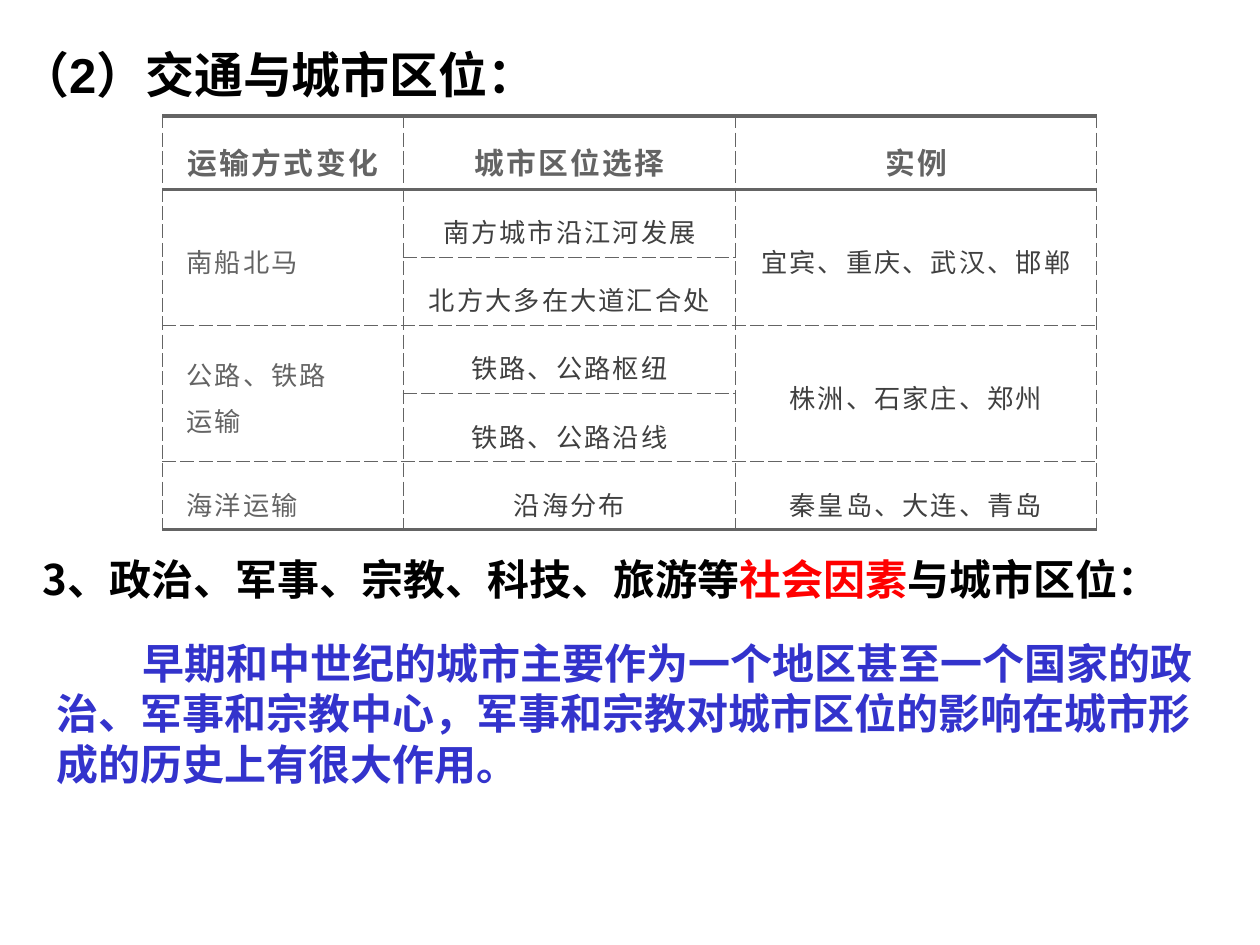
from lxml.etree import SubElement
from pptx import Presentation
from pptx.dml.color import RGBColor
from pptx.enum.text import MSO_ANCHOR as Anchor, MSO_AUTO_SIZE as AutoSize, PP_ALIGN as Align
from pptx.oxml.ns import qn
from pptx.util import Inches, Pt

BLACK = RGBColor(0x00, 0x00, 0x00)
WHITE = RGBColor(0xFF, 0xFF, 0xFF)
RED = RGBColor(0xFF, 0x00, 0x00)
BLUE = RGBColor(0x33, 0x33, 0xCC)
GREY = RGBColor(0x64, 0x64, 0x64)
DARK = RGBColor(0x40, 0x40, 0x40)
SANS = "Noto Sans CJK SC"

COLUMN_WIDTHS = (1.91, 2.64, 2.86)
ROW_HEIGHTS = (0.58,) + (0.54,) * 5
TABLE_ROWS = (
    ("运输方式变化", "城市区位选择", "实例"),
    ("南船北马", "南方城市沿江河发展", "宜宾、重庆、武汉、邯郸"),
    (None, "北方大多在大道汇合处", None),
    ("公路、铁路\n运输", "铁路、公路枢纽", "株洲、石家庄、郑州"),
    (None, "铁路、公路沿线", None),
    ("海洋运输", "沿海分布", "秦皇岛、大连、青岛"),
)


def add_text(paragraph, text, size, color, latin="Arial", bold=True, spacing=None):
    """Append a formatted run to a paragraph."""
    run = paragraph.add_run()
    run.text = text
    font = run.font
    font.size, font.bold, font.name = Pt(size), bold, latin
    font.color.rgb = color
    props = font._element
    if latin == SANS:
        SubElement(props, qn("a:ea")).set("typeface", SANS)
    if spacing:
        props.set("spc", str(round(spacing * 100)))


def place(shape, left, top, width, height):
    """Position a text shape and return its first paragraph."""
    shape.left, shape.top = Inches(left), Inches(top)
    shape.width, shape.height = Inches(width), Inches(height)
    frame = shape.text_frame
    frame.word_wrap = True
    frame.auto_size = AutoSize.NONE
    frame.vertical_anchor = Anchor.TOP
    paragraph = frame.paragraphs[0]
    paragraph.alignment = Align.LEFT
    return paragraph


def add_box(slide, *bounds):
    return place(slide.shapes.add_textbox(0, 0, 0, 0), *bounds)


def set_borders(cell, thick_sides):
    """Thin dashed lines, with thick solid ones on the given sides."""
    props = cell._tc.get_or_add_tcPr()
    for index, side in enumerate("LRTB"):
        thick = side in thick_sides
        line = SubElement(props, qn(f"a:ln{side}"), w=str(Pt(2.25 if thick else 0.75)))
        props.remove(line)
        props.insert(index, line)
        fill = SubElement(line, qn("a:solidFill"))
        SubElement(fill, qn("a:srgbClr"), val=str(GREY))
        SubElement(line, qn("a:prstDash"), val="solid" if thick else "sysDash")


def fill_cell(cell, text, row, column):
    cell.fill.solid()
    cell.fill.fore_color.rgb = WHITE
    cell.margin_left = cell.margin_right = Inches(0.19)
    # A smaller bottom margin lets one line fit the row height
    spans_rows = row < len(TABLE_ROWS) - 1 and TABLE_ROWS[row + 1][column] is None
    cell.margin_top = Inches(0.12)
    cell.margin_bottom = Inches(0.12 if spans_rows else 0.05)
    cell.vertical_anchor = Anchor.MIDDLE
    header = row == 0
    for index, line in enumerate(text.split("\n")):
        frame = cell.text_frame
        paragraph = frame.add_paragraph() if index else frame.paragraphs[0]
        paragraph.alignment = Align.CENTER if header or column else Align.LEFT
        paragraph.line_spacing = 1.2
        add_text(paragraph, line, 17 if header else 15,
                 GREY if header or column == 0 else DARK,
                 latin=SANS, bold=header, spacing=1.3 if header else 1.2)


def add_transport_table(slide):
    table = slide.shapes.add_table(
        len(ROW_HEIGHTS), len(COLUMN_WIDTHS), Inches(1.29), Inches(0.92),
        Inches(sum(COLUMN_WIDTHS)), Inches(sum(ROW_HEIGHTS))).table
    for column, width in zip(table.columns, COLUMN_WIDTHS):
        column.width = Inches(width)
    for row, height in zip(table.rows, ROW_HEIGHTS):
        row.height = Inches(height)
    last = len(TABLE_ROWS) - 1
    for r, texts in enumerate(TABLE_ROWS):
        thick_sides = ("T" if r < 2 else "") + ("B" if r in (0, last) else "")
        for c, text in enumerate(texts):
            cell = table.cell(r, c)
            if text is None:
                table.cell(r - 1, c).merge(cell)
            else:
                fill_cell(cell, text, r, c)
            set_borders(cell, thick_sides)


def main():
    prs = Presentation()
    prs.slide_width, prs.slide_height = Inches(10), Inches(7.5)
    slide = prs.slides.add_slide(prs.slide_layouts[5])

    # Heading
    heading = place(slide.shapes.title, 0.06, 0.3, 10, 0.57)
    add_text(heading, "（2）交通与城市区位：", 28, BLACK)

    # Transport modes and city locations
    add_transport_table(slide)

    # Social factors
    factors = add_box(slide, 0.24, 4.34, 10, 0.5)
    for text, color in (("3、政治、军事、宗教、科技、旅游等", BLACK),
                        ("社会因素", RED), ("与城市区位：", BLACK)):
        add_text(factors, text, 24, color, latin=SANS)

    # Explanation with an indented first line
    explanation = add_box(slide, 0.35, 5.01, 9.5, 1.31)
    explanation._p.get_or_add_pPr().set("indent", str(Inches(0.68)))
    add_text(explanation,
             "早期和中世纪的城市主要作为一个地区甚至一个国家的政治、军事和宗教中心，"
             "军事和宗教对城市区位的影响在城市形成的历史上有很大作用。",
             24, BLUE, latin="Calibri")

    prs.save("out.pptx")


if __name__ == "__main__":
    main()
